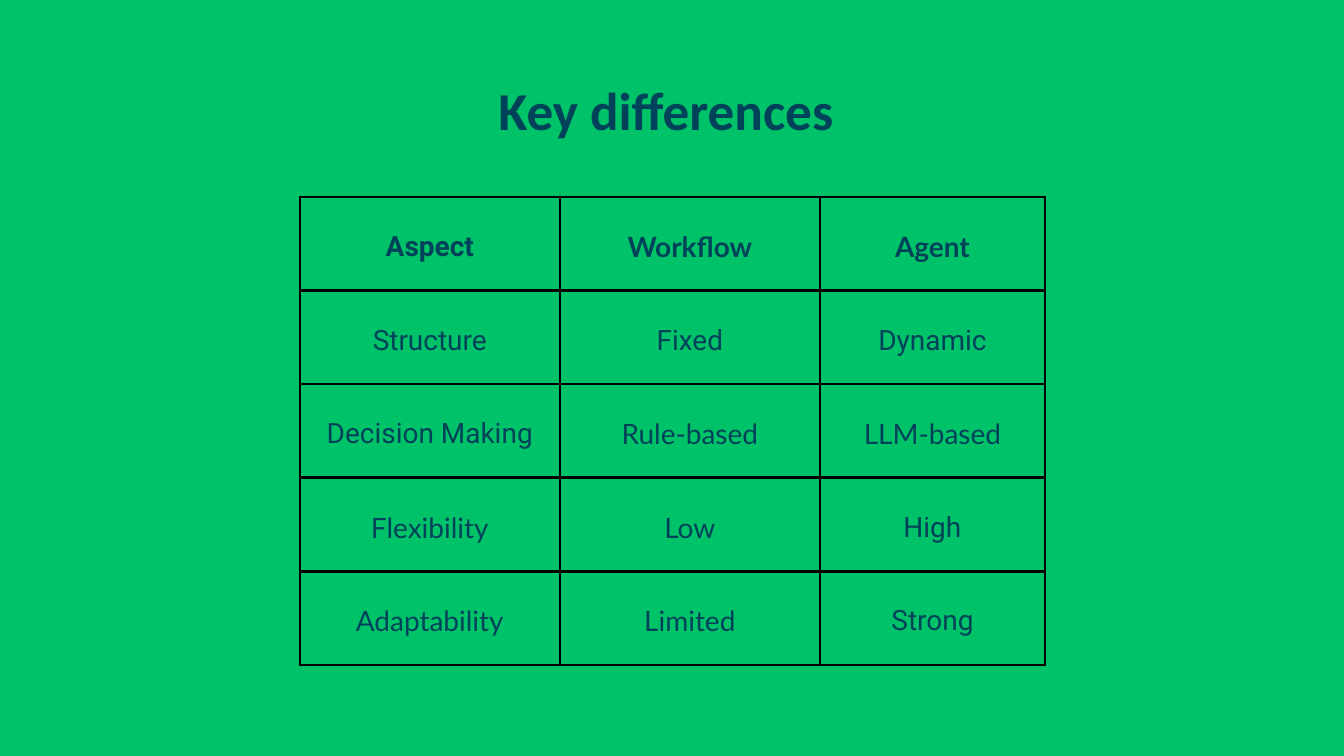
from dataclasses import dataclass

from lxml import etree
from pptx import Presentation
from pptx import util as u
from pptx.dml.color import RGBColor
from pptx.enum import text
from pptx.oxml import ns

COLOURS = {"background": "00C268", "ink": "004259", "border": "000000"}


@dataclass(frozen=True)
class Label:
    words: str
    font: str
    size: float = 30
    leading: float = 42
    bold: bool = False


def roboto(words: str, bold: bool = False) -> Label:
    return Label(words, "Roboto", bold=bold)


def lato(words: str, bold: bool = False) -> Label:
    return Label(words, "Lato", bold=bold)


TITLE = Label("Key differences ", "Calibri", 57, 79.8, True)
ROWS = [
    [roboto("Aspect", True), lato("Workflow", True), lato("Agent", True)],
    [roboto("Structure"), roboto("Fixed"), roboto("Dynamic")],
    [roboto("Decision Making"), lato("Rule-based"), lato("LLM-based")],
    [lato("Flexibility"), lato("Low"), roboto("High")],
    [lato("Adaptability"), lato("Limited"), roboto("Strong")],
]
COLUMN_WIDTHS = [u.Cm(9.83), u.Cm(9.83), u.Cm(8.51)]
ROW_HEIGHT = u.Cm(3.54)
CELL_MARGIN = u.Cm(0.53)
BORDER_WIDTH = u.Pt(3)


def write_label(frame, label: Label) -> None:
    para = frame.paragraphs[0]
    para.alignment = text.PP_ALIGN.CENTER
    para.line_spacing = u.Pt(label.leading)
    span = para.add_run()
    span.text = label.words
    span.font.name = label.font
    span.font.size = u.Pt(label.size)
    span.font.bold = label.bold
    span.font.color.rgb = RGBColor.from_string(COLOURS["ink"])


def set_margins(target, margin: int) -> None:
    target.margin_left = target.margin_right = margin
    target.margin_top = target.margin_bottom = margin


def add_borders(cell) -> None:
    """Draw all four sides; called before the fill, which must follow in the XML."""
    properties = cell._tc.get_or_add_tcPr()
    for side in ("L", "R", "T", "B"):
        line = etree.SubElement(properties, ns.qn(f"a:ln{side}"), w=str(BORDER_WIDTH))
        fill = etree.SubElement(line, ns.qn("a:solidFill"))
        etree.SubElement(fill, ns.qn("a:srgbClr"), val=COLOURS["border"])


def add_comparison(page) -> None:
    table = page.shapes.add_table(
        len(ROWS), len(COLUMN_WIDTHS), u.Cm(11.33), u.Cm(7.44),
        sum(COLUMN_WIDTHS), ROW_HEIGHT * len(ROWS),
    ).table
    table.first_row = table.horz_banding = False
    for column, width in zip(table.columns, COLUMN_WIDTHS):
        column.width = width
    for row, labels in zip(table.rows, ROWS):
        row.height = ROW_HEIGHT
        for cell, label in zip(row.cells, labels):
            set_margins(cell, CELL_MARGIN)
            cell.vertical_anchor = text.MSO_ANCHOR.MIDDLE
            add_borders(cell)
            cell.fill.background()
            write_label(cell.text_frame, label)


def add_title(page) -> None:
    box = page.shapes.add_textbox(u.Cm(17.55), u.Cm(2.51), u.Cm(15.7), u.Cm(2.74))
    frame = box.text_frame
    frame.word_wrap = True
    frame.auto_size = text.MSO_AUTO_SIZE.SHAPE_TO_FIT_TEXT
    set_margins(frame, 0)
    write_label(frame, TITLE)


def main() -> None:
    deck = Presentation()
    deck.slide_width, deck.slide_height = u.Cm(50.8), u.Cm(28.58)
    page = deck.slides.add_slide(deck.slide_layouts[6])
    page.background.fill.solid()
    page.background.fill.fore_color.rgb = RGBColor.from_string(COLOURS["background"])
    add_comparison(page)
    add_title(page)
    deck.save("out.pptx")


if __name__ == "__main__":
    main()
